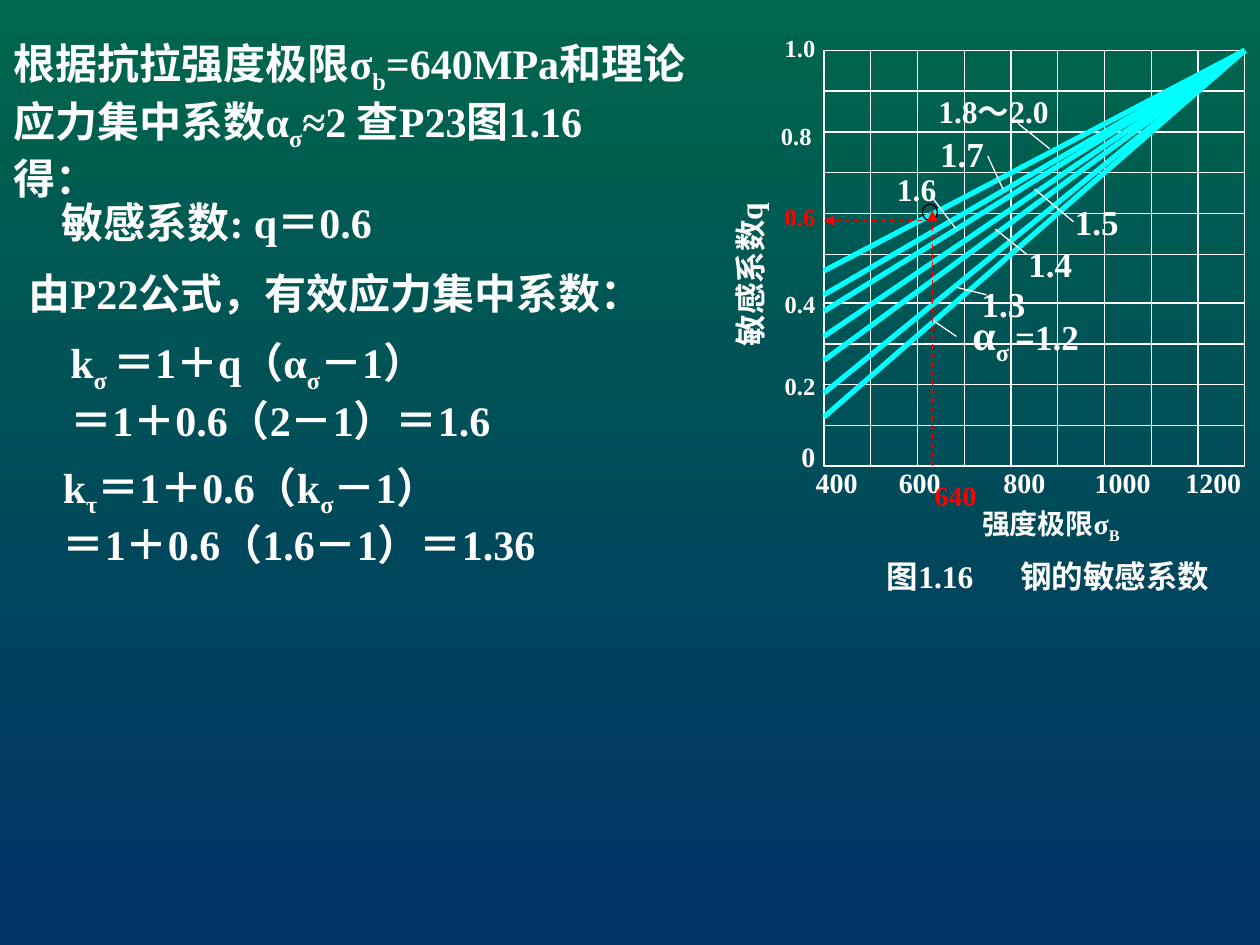
from lxml import etree
from pptx import Presentation
from pptx.dml.color import RGBColor
from pptx.enum.dml import MSO_LINE
from pptx.enum.shapes import MSO_CONNECTOR, MSO_SHAPE
from pptx.enum.text import MSO_ANCHOR, PP_ALIGN
from pptx.oxml.ns import qn
from pptx.util import Inches, Pt

WHITE = RGBColor(0xFF, 0xFF, 0xFF)
BLACK = RGBColor(0, 0, 0)
RED = RGBColor(0xFF, 0, 0)
CYAN = RGBColor(0, 0xFF, 0xFF)
GREEN = RGBColor(0, 0x66, 0x4D)
NAVY = RGBColor(0, 0x33, 0x66)
LEFT = PP_ALIGN.LEFT
CENTER = PP_ALIGN.CENTER
MIDDLE = MSO_ANCHOR.MIDDLE
STRAIGHT = MSO_CONNECTOR.STRAIGHT
DASH = MSO_LINE.DASH
RECTANGLE = MSO_SHAPE.RECTANGLE
OVAL = MSO_SHAPE.OVAL
FONT = "Times New Roman"
SUBSCRIPT_MARK = "|"


def add_text(slide, text, left, top, width, height, size=24, color=WHITE,
             align=CENTER, rotation=0, tab=None, tail_size=None):
    box = slide.shapes.add_textbox(Inches(left), Inches(top), Inches(width), Inches(height))
    box.rotation = rotation
    frame = box.text_frame
    frame.word_wrap = True
    frame.vertical_anchor = MIDDLE
    if align == CENTER:
        frame.margin_left = frame.margin_right = 0
    for index, line in enumerate(text.split("\n")):
        paragraph = frame.add_paragraph() if index else frame.paragraphs[0]
        paragraph.alignment = align
        if tab:
            stops = etree.SubElement(paragraph._p.get_or_add_pPr(), qn("a:tabLst"))
            etree.SubElement(stops, qn("a:tab"), pos=str(Inches(tab)), algn="l")
        parts = line.split(SUBSCRIPT_MARK)
        for position, part in enumerate(parts):
            run = paragraph.add_run()
            run.text = part
            font = run.font
            is_tail = tail_size and position == len(parts) - 1
            font.size = Pt(tail_size if is_tail else size)
            font.name = FONT
            font.bold = True
            font.color.rgb = color
            if position % 2:
                font._element.set("baseline", "-25000")


def add_line(slide, x1, y1, x2, y2, color=WHITE, width=0.75, arrow=False):
    line = slide.shapes.add_connector(STRAIGHT, Inches(x1), Inches(y1), Inches(x2), Inches(y2))
    line.line.color.rgb = color
    line.line.width = Pt(width)
    if arrow:
        line.line.dash_style = DASH
        etree.SubElement(line.line._get_or_add_ln(), qn("a:tailEnd"), type="triangle")
    etree.SubElement(line._element.spPr, qn("a:effectLst"))


def add_outline(slide, kind, left, top, width, height, color):
    shape = slide.shapes.add_shape(kind, Inches(left), Inches(top), Inches(width), Inches(height))
    shape.shadow.inherit = False
    shape.fill.background()
    shape.line.color.rgb = color
    shape.line.width = Pt(0.75)


def set_background(slide):
    fill = slide.background.fill
    fill.gradient()
    fill.gradient_angle = 270
    for stop, color, position in zip(fill.gradient_stops, (GREEN, NAVY), (0, 1)):
        stop.color.rgb = color
        stop.position = position


def add_calculation(slide, left, top):
    blocks = [
        ("根据抗拉强度极限σ|b|=640MPa和理论\n应力集中系数α|σ|≈2 查P23图1.16\n得：", 0, 0, 6, 1.41),
        ("敏感系数: q＝0.6", 0.38, 1.26, 4.17, 0.5),
        ("由P22公式，有效应力集中系数：", 0.12, 1.82, 5.3, 0.5),
        ("k|σ |＝1＋q（α|σ|－1）\n＝1＋0.6（2－1）＝1.6", 0.45, 2.37, 5.17, 0.96),
        ("k|τ|＝1＋0.6（k|σ|－1）\n＝1＋0.6（1.6－1）＝1.36", 0.39, 3.36, 5.58, 0.96),
    ]
    for text, x, y, width, height in blocks:
        add_text(slide, text, left + x, top + y, width, height, align=LEFT)


def add_grid(slide, left, top, width, height):
    add_outline(slide, RECTANGLE, left, top, width, height, WHITE)
    columns = 9
    for column in range(1, columns):
        x = left + width * column / columns
        add_line(slide, x, top, x, top + height)
    row_height = height / 10.2
    upper_rows = [top + row_height * row for row in range(1, 6)]
    lower_rows = [top + height - row_height * row for row in range(1, 5)]
    for y in upper_rows + lower_rows:
        add_line(slide, left, y, left + width, y)


def add_axis_labels(slide, left, top, width, height):
    for text, y in [("1.0", -0.02), ("0.8", 0.68), ("0.6", 1.32), ("0.4", 2.01), ("0.2", 2.66)]:
        x = -0.44 if text == "0.8" else -0.41
        add_text(slide, text, left + x, top + y - 0.17, 0.44, 0.34, size=14,
                 color=RED if text == "0.6" else WHITE)
    add_text(slide, "0", left - 0.28, top + height - 0.26, 0.31, 0.37, size=16)
    for text, x in [("400", 0.1), ("600", 0.76), ("800", 1.59), ("1000", 2.37), ("1200", 3.09)]:
        add_text(slide, text, left + x - 0.3, top + height - 0.06, 0.6, 0.37, size=16)
    add_text(slide, "敏感系数q", left - 1.29, top + 1.58, 1.4, 0.4, size=18, rotation=270)
    add_text(slide, "强度极限σ|B", left + 0.89, top + height + 0.27, 1.82, 0.41, size=16)
    add_text(slide, "图1.16\t钢的敏感系数", left + 0.4, top + height + 0.67, 2.9, 0.4,
             size=18, align=LEFT, tab=1.06)


def add_curves(slide, left, top, width):
    for start in (1.75, 1.94, 2.07, 2.27, 2.46, 2.72, 2.91):
        add_line(slide, left + width, top, left, top + start, color=CYAN, width=3)
    labels = [
        ("1.8～2.0", 18, (0.75, 0.28, 1.19, 0.4), (1.54, 0.58, 1.79, 0.78)),
        ("1.7", 20, (0.82, 0.6, 0.55, 0.44), (1.3, 0.84, 1.42, 1.1)),
        ("1.6", 18, (0.48, 0.9, 0.51, 0.4), (0.86, 1.17, 1.05, 1.42)),
        ("1.5", 20, (1.89, 1.14, 0.55, 0.44), (1.98, 1.36, 1.67, 1.1)),
        ("1.4", 20, (1.52, 1.47, 0.55, 0.44), (1.61, 1.62, 1.36, 1.42)),
        ("1.3", 20, (1.15, 1.79, 0.55, 0.44), (1.29, 1.94, 1.05, 1.88)),
        ("α|σ |=1.2", 24, (1.06, 2, 1.08, 0.56), (1.05, 2.27, 0.86, 2.14)),
    ]
    for text, size, (x, y, box_width, box_height), (x1, y1, x2, y2) in labels:
        add_text(slide, text, left + x, top + y, box_width, box_height, size=size,
                 tail_size=min(size, 20))
        add_line(slide, left + x1, top + y1, left + x2, top + y2)


def add_reading(slide, left, top, height):
    add_text(slide, "640", left + 0.78, top + height + 0.05, 0.53, 0.37, size=16, color=RED)
    add_line(slide, left + 0.78, top + 1.35, left, top + 1.35, color=RED, arrow=True)
    add_outline(slide, OVAL, left + 0.78, top + 1.22, 0.12, 0.13, BLACK)
    add_line(slide, left + 0.86, top + height, left + 0.86, top + 1.27, color=RED, arrow=True)


def add_sensitivity_graph(slide, left, top, width, height):
    add_grid(slide, left, top, width, height)
    add_axis_labels(slide, left, top, width, height)
    add_curves(slide, left, top, width)
    add_reading(slide, left, top, height)


def main():
    presentation = Presentation()
    presentation.slide_width = Inches(10)
    presentation.slide_height = Inches(7.5)
    slide = presentation.slides.add_slide(presentation.slide_layouts[6])
    set_background(slide)
    add_calculation(slide, 0.01, 0.25)
    add_sensitivity_graph(slide, 6.54, 0.4, 3.34, 3.3)
    presentation.save("out.pptx")


if __name__ == "__main__":
    main()
